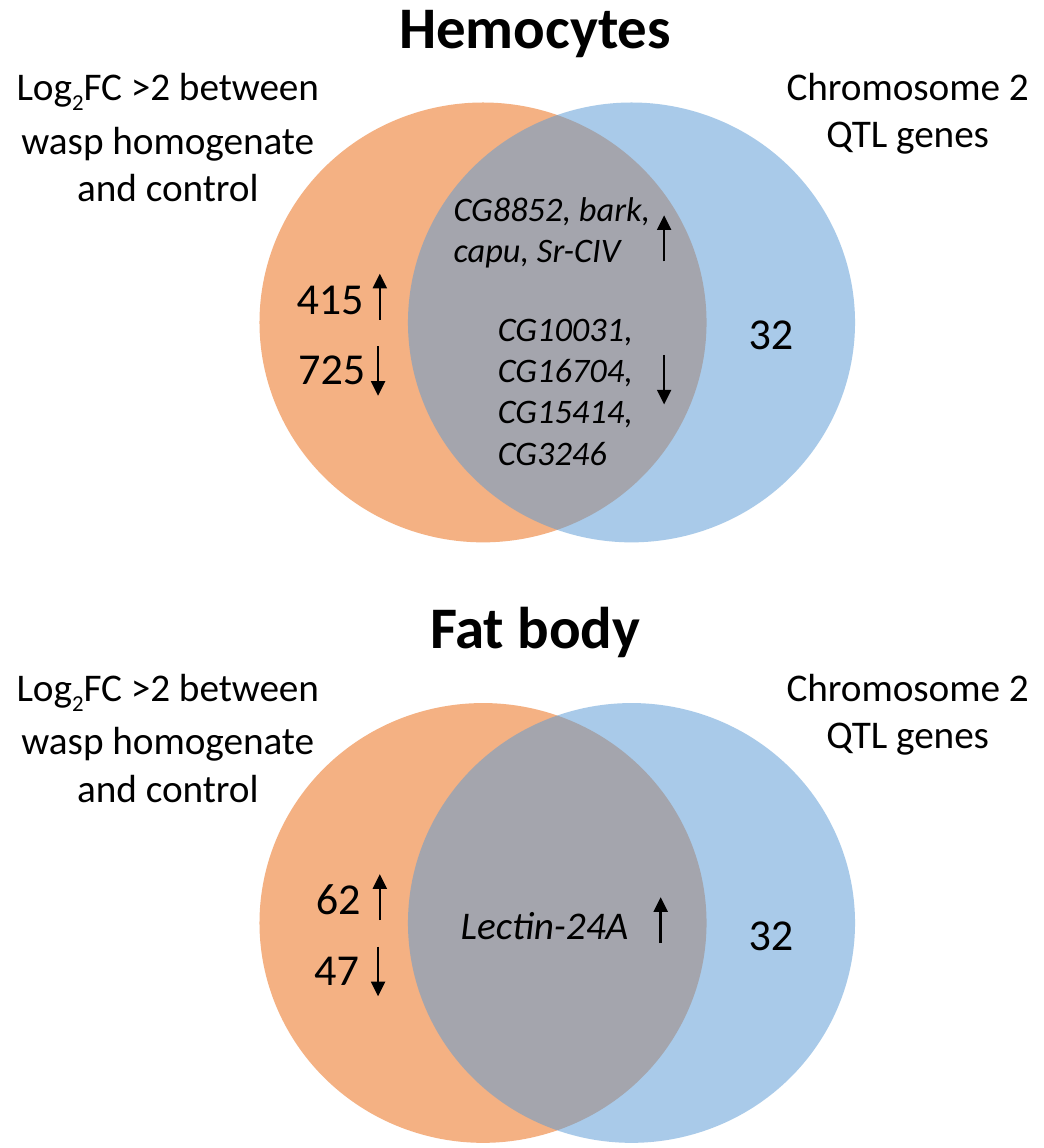
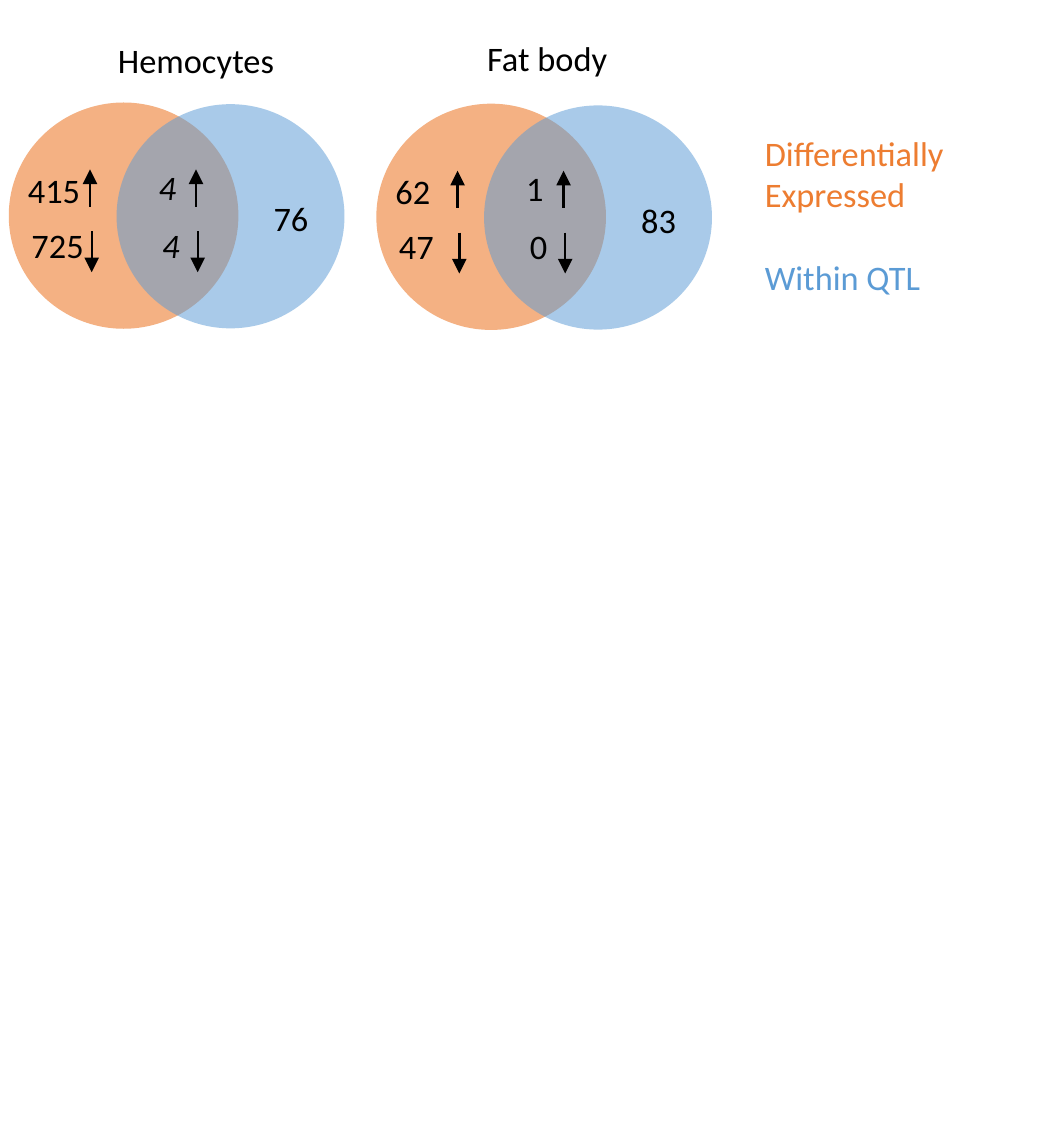
from lxml import etree
from pptx import Presentation
from pptx.dml.color import RGBColor
from pptx.enum.shapes import MSO_CONNECTOR, MSO_SHAPE
from pptx.enum.text import MSO_ANCHOR, MSO_AUTO_SIZE, PP_ALIGN
from pptx.oxml.ns import qn
from pptx.util import Pt

OVAL = MSO_SHAPE.OVAL
LINE = MSO_CONNECTOR.STRAIGHT
LEFT = PP_ALIGN.LEFT
MID = PP_ALIGN.CENTER
TOP = MSO_ANCHOR.TOP
GROW = MSO_AUTO_SIZE.SHAPE_TO_FIT_TEXT

FONT = "Calibri"
BLACK = "000000"
PEACH = "F4B183"
ORANGE = "ED7D31"
BLUE = "5B9BD5"
ALPHA = 52


def color(code):
    return RGBColor.from_string(code)


def apply(item, values):
    for name, value in values.items():
        setattr(item, name, value)


def place(shape, box):
    names = ("left", "top", "width", "height")
    apply(shape, dict(zip(names, map(Pt, box))))


def write(shape, parts, size, align=LEFT, bold=False, italic=False,
          ink=BLACK, gap=0):
    frame = shape.text_frame
    apply(frame, {"word_wrap": True, "auto_size": GROW,
                  "vertical_anchor": TOP})
    for i, part in enumerate(parts):
        para = frame.add_paragraph() if i else frame.paragraphs[0]
        apply(para, {"alignment": align, "space_before": Pt(gap if i else 0)})
        for j, word in enumerate(part.split("_")):
            run = para.add_run()
            run.text = word
            apply(run.font, {"name": FONT, "size": Pt(size),
                             "bold": bold, "italic": italic})
            run.font.color.rgb = color(ink)
            if j % 2:
                run.font._element.set("baseline", "-25000")


def note(slide, box, text, size, **look):
    shape = slide.shapes.add_textbox(*map(Pt, box))
    write(shape, [text], size, **look)
    return shape


def head(slide, box, text, size, first, bold=False):
    if first:
        shape = slide.shapes.title
        place(shape, box)
        write(shape, [text], size, align=MID, bold=bold)
    else:
        note(slide, box, text, size, align=MID, bold=bold)


def disk(slide, box, fill, alpha=None):
    shape = slide.shapes.add_shape(OVAL, *map(Pt, box))
    shape.shadow.inherit = False
    shape.fill.solid()
    shape.fill.fore_color.rgb = color(fill)
    shape.line.fill.background()
    if alpha:
        tint = shape.element.spPr.find(qn("a:solidFill"))[0]
        etree.SubElement(tint, qn("a:alpha")).set("val", str(alpha * 1000))


def arrow(slide, x, start, end):
    line = slide.shapes.add_connector(
        LINE, Pt(x), Pt(start), Pt(x), Pt(end))
    line.line.color.rgb = color(BLACK)
    line.line.width = Pt(1)
    tail = etree.SubElement(line.get_or_add_ln(), qn("a:tailEnd"))
    tail.set("type", "triangle")
    etree.SubElement(line.element.spPr, qn("a:effectLst"))


def large(slide, y, name, counts, genes, first):
    head(slide, (148.3, y - 7.9, 139.7, 36), name, 24, first, bold=True)
    for x, text, high in ((-1.4, "Log_2_FC >2 between wasp homogenate and control", 65.5),
                          (300.2, "Chromosome 2 QTL genes", 46)):
        note(slide, (x, y + 21.6, 139.7, high), text, 16, align=MID)
    disk(slide, (105.8, y + 41.8, 182.2, 179.3), PEACH)
    disk(slide, (166.3, y + 41.8, 182.2, 179.3), BLUE, ALPHA)
    note(slide, (298, y + 121, 94.3, 28.8), "32", 18)
    for i, (x, text) in enumerate(counts):
        note(slide, (x, y + 106.6 + 28.8 * i, 45.4, 28.8), text, 18)
    arrow(slide, 154.8, y + 130.3, y + 111.6)
    arrow(slide, 154.1, y + 141.1, y + 161.3)
    for (x, top, wide, high), text, size, (at, start, end) in genes:
        note(slide, (x, y + top, wide, high), text, size, italic=True)
        arrow(slide, at, y + start, y + end)


def small(slide, x, y, name, shift, counts, both, rest, slant, first):
    head(slide, (x + shift[0], y + shift[1], 139.7, 24.5), name, 14, first)
    disk(slide, (x, y + 41.8, 93.6, 92.2), PEACH)
    disk(slide, (x + 43.9, y + 42.5, 92.9, 91.4), BLUE, ALPHA)
    note(slide, (x + 100.8, y + 77, 32.4, 24.5), rest, 14)
    for left, top, pair, lean, at in ((0.7, 65.5, counts, False, 33.1),
                                      (54, 64.1, both, slant, 76.3)):
        for i, text in enumerate(pair):
            note(slide, (x + left + 1.45 * i, y + (87.8 if i else top), 45.4, 24.5),
                 text, 14, italic=lean)
        arrow(slide, x + at, y + 84.2, y + 69.1)
        arrow(slide, x + at + 0.7, y + 94.3, y + 111)


def legend(slide, box):
    shape = note(slide, box, "Differentially Expressed", 14, ink=ORANGE)
    para = shape.text_frame.add_paragraph()
    para.space_before = Pt(17)
    run = para.add_run()
    run.text = "Within QTL"
    apply(run.font, {"name": FONT, "size": Pt(14)})
    run.font.color.rgb = color(BLUE)


def main():
    deck = Presentation()
    apply(deck, {"slide_width": Pt(425.5), "slide_height": Pt(468)})
    plain = deck.slide_layouts[5]

    slide = deck.slides.add_slide(plain)
    large(slide, 0, "Hemocytes", ((113.8, "415"), (114.5, "725")), (
        ((177.8, 72.7, 100, 41), "CG8852, bark, capu, Sr-CIV", 14,
         (270.7, 106.6, 87.8)),
        ((195.8, 121.7, 94.3, 75), "CG10031, CG16704, CG15414, CG3246", 14,
         (270.7, 144.7, 164.9))), True)
    large(slide, 244.8, "Fat body", ((121.7, "62"), (121, "47")), (
        ((180.7, 118.8, 86.4, 26.6), "Lectin-24A", 16,
         (269.3, 139.7, 121)),), False)

    slide = deck.slides.add_slide(plain)
    small(slide, 3.6, 0, "Hemocytes", (6.5, 12.2), ("415", "725"),
          ("4", "4"), "76", True, True)
    small(slide, 153.4, 0.5, "Fat body", (-0.2, 11), ("62", "47"),
          ("1", "0"), "83", False, False)
    legend(slide, (304.6, 50.4, 94.3, 74.9))
    deck.save("out.pptx")


if __name__ == "__main__":
    main()
